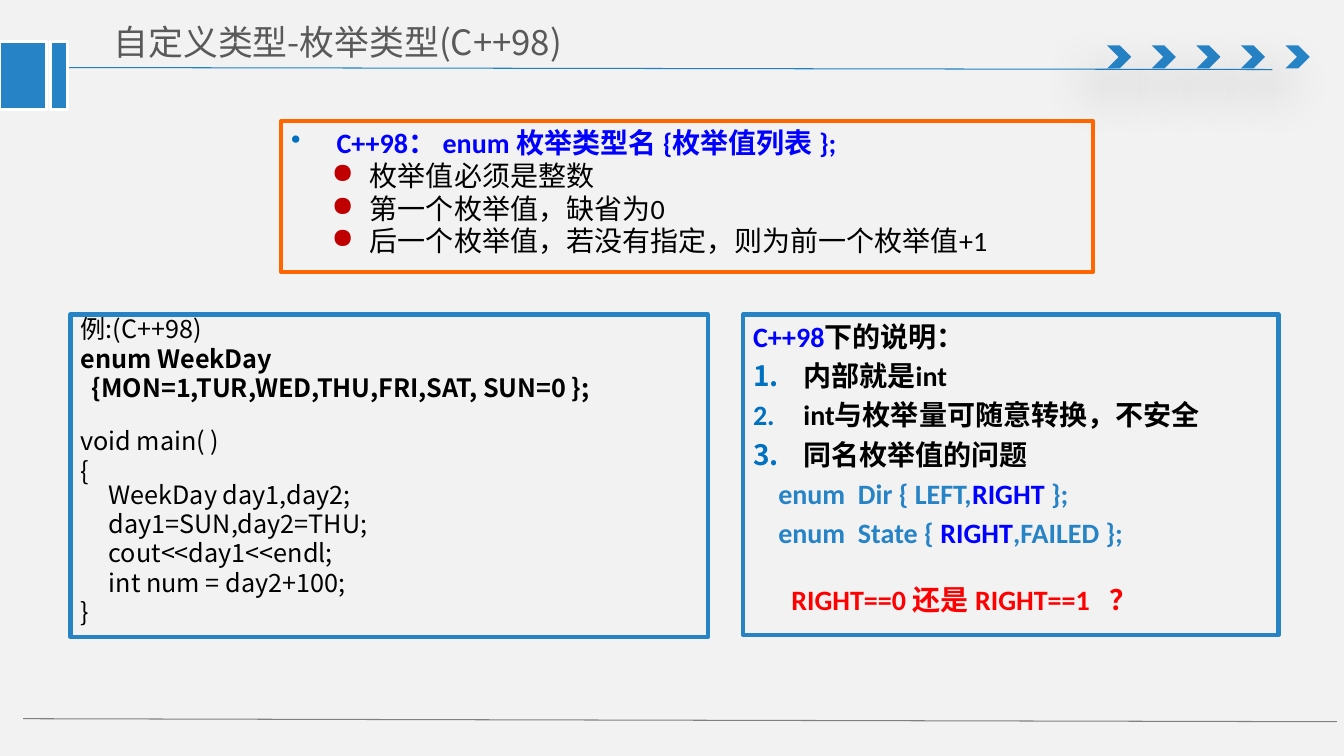
from lxml import etree
from pptx import Presentation
from pptx.dml.color import RGBColor
from pptx.enum import shapes, text
from pptx.oxml.ns import qn
from pptx.util import Inches, Pt

COLORS = {"background": "F2F2F2", "accent": "2683C6", "header": "2181C6",
          "footer": "808080", "title": "595959", "white": "FFFFFF",
          "orange": "FF6600", "black": "000000", "blue": "0000FF",
          "red": "FF0000", "number": "0070C0", "dot": "C00000"}
CJK, LATIN = "Noto Sans CJK SC", "Calibri"

TITLE = "自定义类型-枚举类型(C++98)"
SYNTAX = "C++98： enum 枚举类型名 {枚举值列表 };"
RULES = ["枚举值必须是整数", "第一个枚举值，缺省为0", "后一个枚举值，若没有指定，则为前一个枚举值+1"]
# code line, bold, space before in points
CODE = [
    ("例:(C++98)", False, 0),
    ("enum WeekDay", True, 3.6),
    ("  {MON=1,TUR,WED,THU,FRI,SAT, SUN=0 };", True, 3.6),
    ("void main( )", False, 21),
    ("{", False, 3.6),
    ("     WeekDay day1,day2;", False, 0),
    ("     day1=SUN,day2=THU;", False, 3.6),
    ("     cout<<day1<<endl;", False, 3.6),
    ("     int num = day2+100;", False, 3.6),
    ("}", False, 3.6),
]
NOTES_HEAD = [("C++98", "blue"), ("下的说明：", "black")]
NOTES = ["内部就是int", "int与枚举量可随意转换，不安全", "同名枚举值的问题"]
NOTES_CODE = [
    [("    enum  Dir { LEFT,", "accent"), ("RIGHT", "blue"), (" };", "accent")],
    [("    enum  State { ", "accent"), ("RIGHT", "blue"), (",FAILED };", "accent")],
]
QUESTION = "RIGHT==0 还是 RIGHT==1   ？"

prs = Presentation()
prs.slide_width, prs.slide_height = Inches(13.33), Inches(7.5)
slide = prs.slides.add_slide(prs.slide_layouts[6])


def rgb(name):
    return RGBColor.from_string(COLORS[name])


def add_rule(start, end, color):
    ends = [Inches(v) for v in (*start, *end)]
    rule = slide.shapes.add_connector(shapes.MSO_CONNECTOR.STRAIGHT, *ends)
    rule.line.color.rgb, rule.line.width = rgb(color), Pt(0.75)
    etree.SubElement(rule._element.spPr, qn("a:effectLst"))


def add_block(kind, box, fill=None, line=None, width=0):
    block = slide.shapes.add_shape(kind, *[Inches(v) for v in box])
    block.shadow.inherit = False
    if fill:
        block.fill.solid()
        block.fill.fore_color.rgb = rgb(fill)
    else:
        block.fill.background()
    if line:
        block.line.color.rgb, block.line.width = rgb(line), Pt(width)
    else:
        block.line.fill.background()
    return block


def cast_shadow(block):
    """Give a block a soft shadow falling to the lower left."""
    shadow = etree.SubElement(block._element.spPr.find(qn("a:effectLst")), qn("a:outerShdw"),
                              blurRad=str(Pt(36)), dist=str(Pt(24)), dir=str(130 * 60000))
    tint = etree.SubElement(shadow, qn("a:srgbClr"), val=COLORS["black"])
    etree.SubElement(tint, qn("a:alpha"), val="38000")


def add_panel(box, line):
    frame = add_block(shapes.MSO_SHAPE.RECTANGLE, box, line=line, width=3).text_frame
    frame.word_wrap = True
    frame.vertical_anchor = text.MSO_ANCHOR.TOP
    return frame


def add_line(frame, runs, size, font, bold=False, before=0.0, spacing=None,
             indent=0.0, hang=0.0, bullet=None, bullet_color="number"):
    """Write one paragraph; bullet is a character, or "1." for numbering."""
    line = frame.paragraphs[0]
    if line.runs:
        line = frame.add_paragraph()
    line.alignment = text.PP_ALIGN.LEFT
    line.space_before = Pt(before)
    if spacing:
        line.line_spacing = spacing
    props = line._p.get_or_add_pPr()
    props.set("marL", str(Inches(indent)))
    props.set("indent", str(Inches(-hang)))
    if bullet:
        tint = etree.SubElement(props, qn("a:buClr"))
        etree.SubElement(tint, qn("a:srgbClr"), val=COLORS[bullet_color])
        if bullet == "1.":
            etree.SubElement(props, qn("a:buAutoNum"), type="arabicPeriod")
        else:
            etree.SubElement(props, qn("a:buChar"), char=bullet)
    for words, color in runs:
        run = line.add_run()
        run.text = words
        run.font.size, run.font.name, run.font.bold = Pt(size), font, bold
        run.font.color.rgb = rgb(color)
        etree.SubElement(run._r.get_or_add_rPr(), qn("a:ea"), typeface=CJK)


slide.background.fill.solid()
slide.background.fill.fore_color.rgb = rgb("background")

add_rule((0.53, 0.67), (12.62, 0.69), "header")
for i in range(5):
    cast_shadow(add_block(shapes.MSO_SHAPE.CHEVRON,
                          (10.98 + 0.4425 * i, 0.45, 0.24, 0.23), "accent"))
add_rule((0.23, 7.13), (13.26, 7.16), "footer")
for left, width in ((0, 0.46), (0.5, 0.17)):
    add_block(shapes.MSO_SHAPE.RECTANGLE, (left, 0.41, width, 0.68), "accent", "white", 2)

title = slide.shapes.add_textbox(*[Inches(v) for v in (0.99, 0.14, 5.48, 0.55)]).text_frame
title.word_wrap = True
title.vertical_anchor = text.MSO_ANCHOR.MIDDLE
title.margin_left = title.margin_right = Inches(0.14)
title.margin_top = title.margin_bottom = Inches(0.07)
add_line(title, [(TITLE, "title")], 24.9, CJK)

syntax = add_panel((2.79, 1.2, 8.05, 1.5), "orange")
add_line(syntax, [(SYNTAX, "blue")], 20, LATIN, True, indent=0.45, hang=0.45, bullet="•")
for rule_text in RULES:
    add_line(syntax, [(rule_text, "black")], 20, LATIN, before=4, spacing=0.8,
             indent=0.78, hang=0.38, bullet="●", bullet_color="dot")

example = add_panel((0.7, 3.12, 6.32, 3.2), "accent")
for code, bold, before in CODE:
    add_line(example, [(code, "black")], 18, CJK, bold, before, 0.8)

notes = add_panel((7.37, 3.12, 5.31, 3.18), "accent")
add_line(notes, NOTES_HEAD, 20, LATIN, True)
for note in NOTES:
    add_line(notes, [(note, "black")], 20, LATIN, True, 4, indent=0.5, hang=0.5, bullet="1.")
for runs in NOTES_CODE:
    add_line(notes, runs, 20, LATIN, True, 4)
add_line(notes, [(QUESTION, "red")], 20, LATIN, True, 24, indent=0.38)

prs.save("out.pptx")
